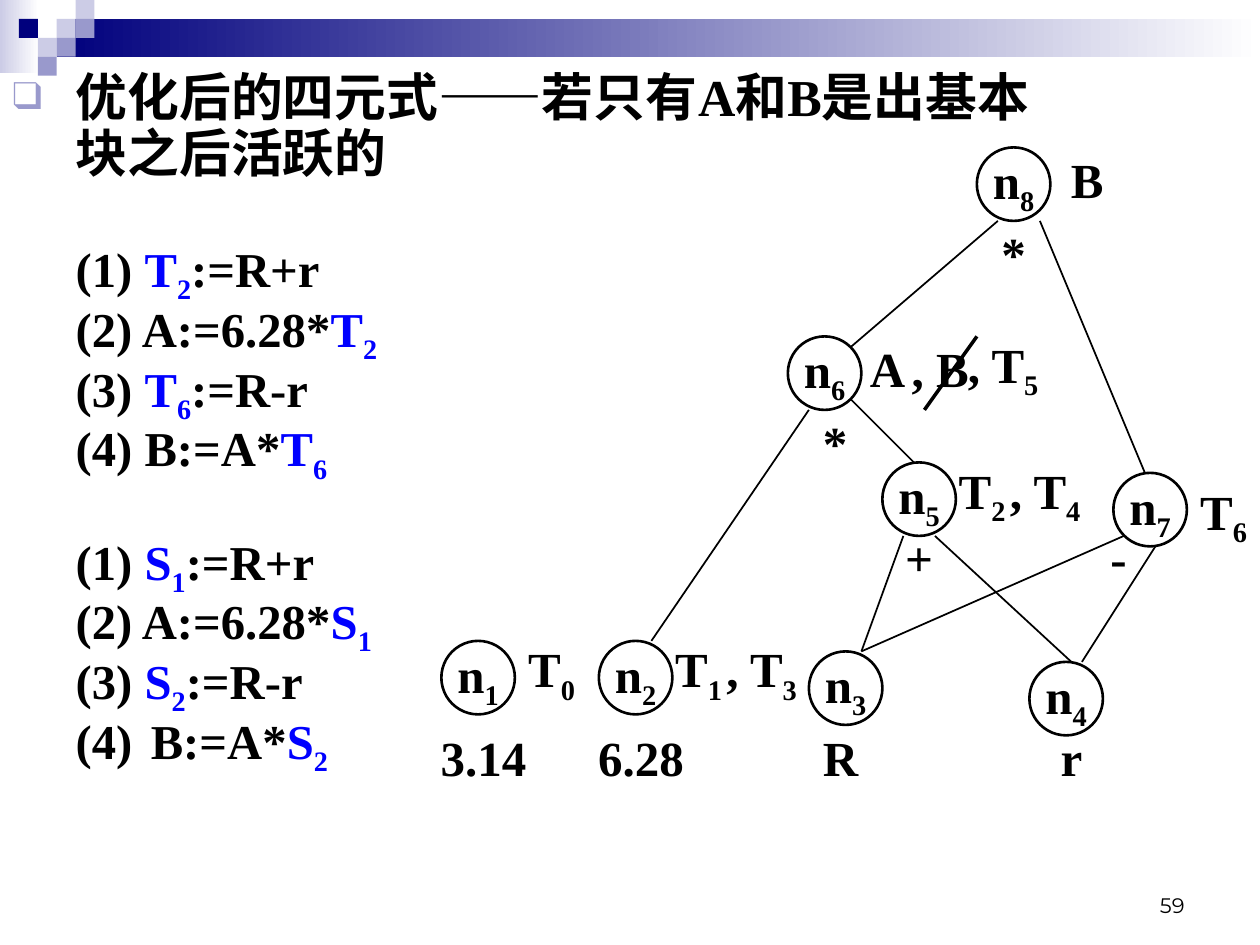
from lxml import etree
from pptx import Presentation
from pptx.dml.color import RGBColor
from pptx.enum.shapes import MSO_CONNECTOR, MSO_SHAPE
from pptx.enum.text import MSO_ANCHOR, MSO_AUTO_SIZE, PP_ALIGN
from pptx.oxml.ns import qn
from pptx.util import Inches, Pt

SERIF = "Times New Roman"
BLACK, BLUE = "000000", "0000FF"
NAVY, LILAC, PALE, WHITE = "00007D", "9999CC", "CCCCE6", "FFFFFF"


def color(hex_code):
    return RGBColor.from_string(hex_code)


def style(font, size, hex_code=BLACK, name=SERIF, bold=True):
    font.size, font.name, font.bold = Pt(size), name, bold
    font.color.rgb = color(hex_code)


def write_code(paragraph, parts, size, variable_color=BLACK):
    """Parts are plain text, a variable, its subscript and the rest."""
    for position, part in enumerate(parts):
        if not part:
            continue
        run = paragraph.add_run()
        run.text = part
        style(run.font, size, variable_color if position in (1, 2) else BLACK)
        if position == 2:
            run._r.get_or_add_rPr().set("baseline", "-25000")


# Banner: gradients and a checkerboard of small squares
def add_banner(slide, left, top, width):
    banner = slide.shapes.add_group_shape().shapes

    def add_block(x, y, w, h, start, end=None):
        block = banner.add_shape(MSO_SHAPE.RECTANGLE, left + Inches(x),
                                 top + Inches(y), Inches(w), Inches(h))
        block.shadow.inherit = False
        block.line.fill.background()
        if end is None:
            block.fill.solid()
            block.fill.fore_color.rgb = color(start)
            return
        block.fill.gradient()
        block.fill.gradient_angle = 0
        for stop, place, shade in zip(block.fill.gradient_stops, (0, 1), (start, end)):
            stop.position, stop.color.rgb = place, color(shade)

    add_block(0, 0, 0.31, 0.58, PALE, WHITE)
    add_block(0.45, 0.15, width - 0.45, 0.3, NAVY, WHITE)
    side = 0.15
    squares = [(3, 1, PALE), (4, 0, PALE), (4, 1, LILAC), (2, 2, PALE),
               (1, 1, NAVY), (3, 2, LILAC), (2, 3, LILAC)]
    for column, row, shade in squares:
        add_block(column * side, row * side, side, side, shade)


# Heading and the two lists of quadruples
def add_quadruples(body, left, top, width, height):
    body.left, body.top, body.width, body.height = left, top, width, height
    frame = body.text_frame
    frame.word_wrap, frame.auto_size = True, MSO_AUTO_SIZE.NONE
    frame.vertical_anchor = MSO_ANCHOR.TOP

    def format_paragraph(paragraph, margin, space_before):
        paragraph.line_spacing = 0.9
        paragraph.space_before, paragraph.space_after = Pt(space_before), Pt(0)
        properties = paragraph._p.get_or_add_pPr()
        properties.set("marL", str(Inches(margin)))
        properties.set("indent", str(Inches(-0.5)))
        return properties

    heading = frame.paragraphs[0]
    heading.text = "优化后的四元式——若只有A和B是出基本块之后活跃的"
    style(heading.runs[0].font, 29.6)
    bullet = format_paragraph(heading, 0.5, 0)
    shade = etree.SubElement(bullet, qn("a:buClr"))
    etree.SubElement(shade, qn("a:srgbClr"), val=LILAC)
    etree.SubElement(bullet, qn("a:buSzPct"), val="75000")
    etree.SubElement(bullet, qn("a:buFont"), typeface=SERIF)
    etree.SubElement(bullet, qn("a:buChar"), char="❑")

    for name, first, second, gap, last in (("T", "2", "6", 32, "(4) B:=A*"),
                                           ("S", "1", "2", 30.5, "(4)\t B:=A*")):
        lines = [("(1) ", name, first, ":=R+r"), ("(2) A:=6.28*", name, first),
                 ("(3) ", name, second, ":=R-r"), (last, name, second)]
        for number, parts in enumerate(lines):
            paragraph = frame.add_paragraph()
            paragraph.level = 1
            properties = format_paragraph(paragraph, 1, 0 if number else gap)
            etree.SubElement(properties, qn("a:buNone"))
            write_code(paragraph, parts, 27.8, BLUE)


# DAG of the basic block, on a grid of twelfths of an inch
def add_graph(slide, left, top):
    graph = slide.shapes.add_group_shape().shapes

    def at(x, y):
        return left + Inches(x / 12), top + Inches(y / 12)

    def center_text(shape, parts):
        frame = shape.text_frame
        frame.word_wrap, frame.vertical_anchor = False, MSO_ANCHOR.MIDDLE
        frame.margin_left = frame.margin_right = Inches(0)
        frame.paragraphs[0].alignment = PP_ALIGN.CENTER
        write_code(frame.paragraphs[0], parts, 28)

    def add_edge(x1, y1, x2, y2, weight=1):
        edge = graph.add_connector(MSO_CONNECTOR.STRAIGHT, *at(x1, y1), *at(x2, y2))
        edge.line.color.rgb, edge.line.width = color(BLACK), Pt(weight)
        etree.SubElement(edge._element.spPr, qn("a:effectLst"))

    def add_label(x, y, width, *parts):
        label = graph.add_textbox(*at(x, y), Inches(width / 12), Inches(4 / 12))
        center_text(label, parts)

    # Nodes n1 to n8
    nodes = [(1, 47), (16, 47), (36, 48), (57, 49), (43, 30), (34, 18), (65, 31), (52, 0)]
    for number, (x, y) in enumerate(nodes, 1):
        node = graph.add_shape(MSO_SHAPE.OVAL, *at(x, y), Inches(7 / 12), Inches(7 / 12))
        node.shadow.inherit = False
        node.fill.background()
        node.line.color.rgb, node.line.width = color(BLACK), Pt(1.5)
        center_text(node, ("n", "", str(number)))

    for edge in [(45, 37, 41, 48), (48, 37, 61, 49), (36, 25, 21, 47), (40, 24, 46, 30),
                 (41, 48, 66, 37), (62, 49, 69, 38), (54, 7, 40, 19), (58, 7, 68, 31)]:
        add_edge(*edge)

    # Leaf values, operators and attached names
    for x, value in [(0, "3.14"), (15, "6.28"), (34, "R"), (56, "r")]:
        add_label(x, 56, 10, value)
    for x, y, operator in [(44, 37, "+"), (36, 26, "*"), (63, 37, "-"), (53, 8, "*")]:
        add_label(x, y, 5, operator)
    for x, y, *name in [(8, 48, "", "T", "0"), (22, 48, "", "T", "1"),
                        (28, 48, ", ", "T", "3"), (49, 31, "", "T", "2"),
                        (55, 31, ", ", "T", "4"), (40, 19, "A"), (45, 19, ", B"),
                        (51, 19, ", ", "T", "5"), (59, 1, "B"), (72, 33, "", "T", "6")]:
        add_label(x, y, 7, *name)

    # Stroke that cancels B at n6
    add_edge(52, 18, 47, 25, 2)


def add_page_number(slide, left, top, width, height):
    page_number = slide.shapes.add_textbox(left, top, width, height)
    frame = page_number.text_frame
    frame.text = "59"
    frame.word_wrap, frame.vertical_anchor = True, MSO_ANCHOR.BOTTOM
    frame.paragraphs[0].alignment = PP_ALIGN.RIGHT
    style(frame.paragraphs[0].runs[0].font, 12, name="Montserrat", bold=False)


def main():
    deck = Presentation()
    deck.slide_width, deck.slide_height = Inches(10), Inches(7.5)
    slide = deck.slides.add_slide(deck.slide_layouts[1])
    unused_title = slide.shapes.title._element
    unused_title.getparent().remove(unused_title)

    add_banner(slide, Inches(0), Inches(0), 10)
    add_quadruples(slide.placeholders[1], Inches(0), Inches(0.52), Inches(8.5), Inches(6.41))
    add_graph(slide, Inches(3.42), Inches(1.17))
    add_page_number(slide, Inches(7.17), Inches(6.83), Inches(2.33), Inches(0.5))
    deck.save("out.pptx")


if __name__ == "__main__":
    main()
